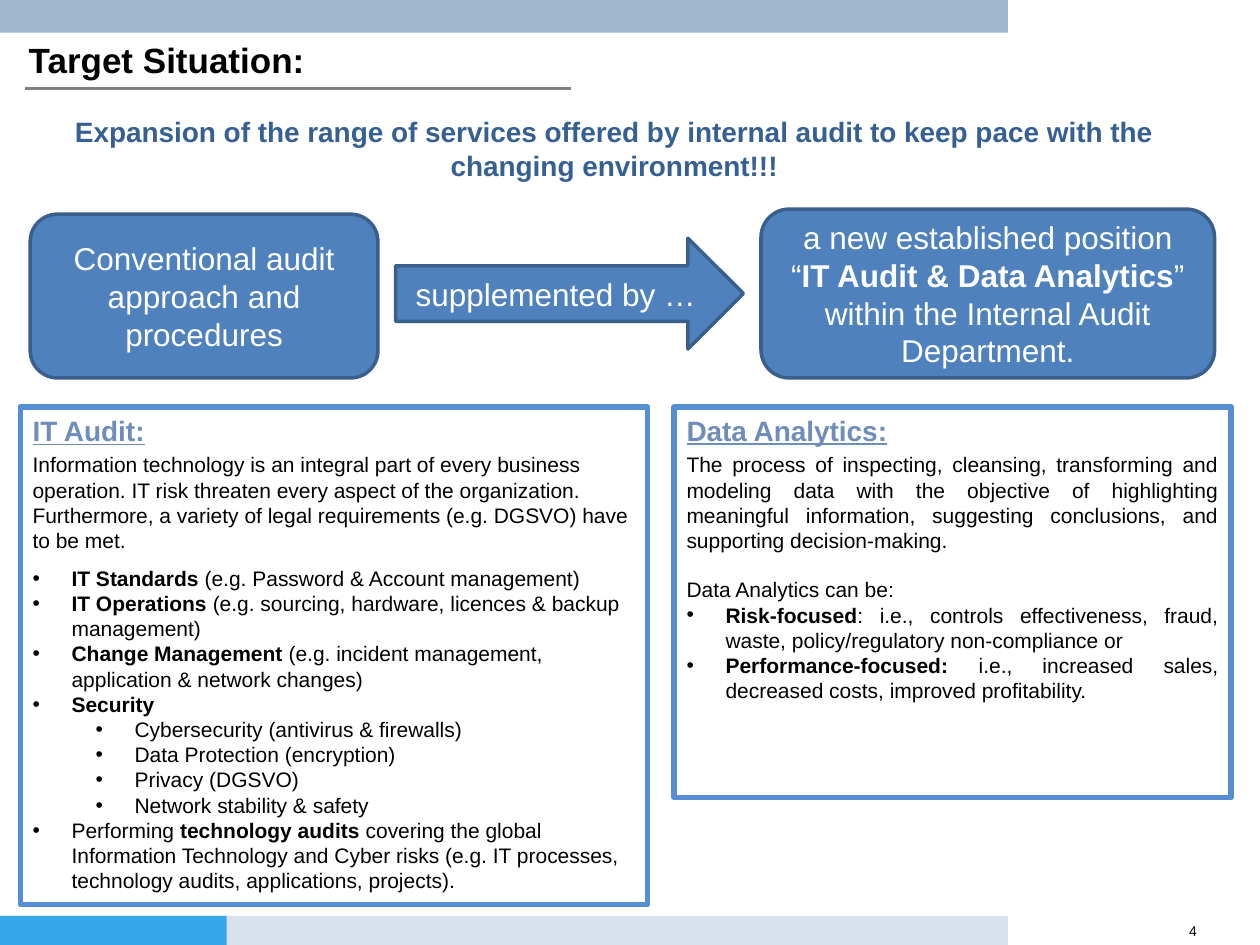
from lxml.etree import SubElement
from pptx import Presentation
from pptx.dml.color import RGBColor
from pptx.enum.shapes import MSO_CONNECTOR, MSO_SHAPE as Shape
from pptx.enum.text import MSO_ANCHOR as Anchor, PP_ALIGN as Align
from pptx.oxml.ns import qn
from pptx.util import Inches, Pt

WIDTH, HEIGHT = Inches(10), Inches(7.5)
COLUMNS, ROWS = 100, 75
BLACK, WHITE, BLUE, DARK_BLUE = "000000", "FFFFFF", "4F81BD", "3A5F8C"

AUDIT_INTRO = (
    "Information technology is an integral part of every business operation. "
    "IT risk threaten every aspect of the organization. Furthermore, a variety "
    "of legal requirements (e.g. DGSVO) have to be met."
)
AUDIT_TOPICS = [
    (1, "*IT Standards *(e.g. Password & Account management)", {"line_spacing": 1.5}),
    (1, "*IT Operations *(e.g. sourcing, hardware, licences & backup management)", {}),
    (1, "*Change Management *(e.g. incident management, application & network changes)", {}),
    (1, "*Security*", {}),
    (2, "Cybersecurity (antivirus & firewalls)", {}),
    (2, "Data Protection (encryption)", {}),
    (2, "Privacy (DGSVO)", {}),
    (2, "Network stability & safety", {}),
    (1, "Performing *technology audits *covering the global Information Technology "
        "and Cyber risks (e.g. IT processes, technology audits, applications, projects).", {}),
]
ANALYTICS_INTRO = (
    "The process of inspecting, cleansing, transforming and modeling data with "
    "the objective of highlighting meaningful information, suggesting "
    "conclusions, and supporting decision-making."
)
ANALYTICS_TOPICS = [
    (0, "Data Analytics can be:", {"before": 13.8}),
    (1, "*Risk-focused*: i.e., controls effectiveness, fraud, waste, "
        "policy/regulatory non-compliance or", {}),
    (1, "*Performance-focused: *i.e., increased sales, decreased costs, "
        "improved profitability.", {}),
]


def rgb(value):
    """Turn a hex string into a colour."""
    return RGBColor.from_string(value)


def place(box):
    """Convert a box in grid columns and rows to slide lengths."""
    left, top, width, height = box
    return (int(WIDTH * left / COLUMNS), int(HEIGHT * top / ROWS),
            int(WIDTH * width / COLUMNS), int(HEIGHT * height / ROWS))


def add_bullet(paragraph, level):
    """Give a paragraph a bullet with a hanging indent."""
    properties = paragraph._p.get_or_add_pPr()
    properties.set("marL", str(Inches(0.31 + 0.5 * (level - 1))))
    properties.set("indent", str(-Inches(0.31)))
    SubElement(properties, qn("a:buFont")).set("typeface", "Arial")
    SubElement(properties, qn("a:buChar")).set("char", "•")


def write_text(frame, text, size=12, color=BLACK, bold=False, underline=False,
               align=Align.LEFT, before=0, after=0, line_spacing=1.0, level=0):
    """Write one paragraph, in which asterisks enclose bold words."""
    paragraph = frame.paragraphs[0]
    if paragraph.runs:
        paragraph = frame.add_paragraph()
    paragraph.alignment = align
    paragraph.line_spacing = line_spacing
    paragraph.space_before, paragraph.space_after = Pt(before), Pt(after)
    if level:
        paragraph.level = level - 1
        add_bullet(paragraph, level)
    for index, part in enumerate(text.split("*")):
        if part:
            run = paragraph.add_run()
            run.text = part
            font = run.font
            font.name, font.size = "Arial", Pt(size)
            font.bold, font.underline = bold or index % 2 == 1, underline
            font.color.rgb = rgb(color)


def add_box(slide, box, kind=Shape.RECTANGLE, fill=None, line=None, weight=2,
            anchor=Anchor.MIDDLE):
    """Add a preset shape and return it."""
    shape = slide.shapes.add_shape(kind, *place(box))
    shape.shadow.inherit = False
    if fill:
        shape.fill.solid()
        shape.fill.fore_color.rgb = rgb(fill)
    else:
        shape.fill.background()
    if line:
        shape.line.color.rgb = rgb(line)
        shape.line.width = Pt(weight)
    else:
        shape.line.fill.background()
    shape.text_frame.word_wrap = True
    shape.text_frame.vertical_anchor = anchor
    return shape


def add_label(slide, box, text, margin=True, **text_format):
    """Add a text box holding one paragraph."""
    frame = slide.shapes.add_textbox(*place(box)).text_frame
    frame.word_wrap = True
    if not margin:
        frame.margin_left = frame.margin_right = 0
        frame.margin_top = frame.margin_bottom = 0
    write_text(frame, text, **text_format)


def add_bands(slide, box):
    """Add the coloured bands and the page number at the slide's edges."""
    left, top, width, height = box
    band, bottom = 2.6, top + height - 2.3
    add_box(slide, (left, bottom, 0.8 * width, 2.3), fill="D8E2EC")
    add_box(slide, (left, top, 0.8 * width, band), fill="9FB8CE")
    add_box(slide, (left, bottom, 0.18 * width, 2.3), fill="36A7E9")
    add_label(slide, (0.72 * width, bottom + 0.5, 0.23 * width, 1.8), "4",
              margin=False, size=8, align=Align.RIGHT)


def add_heading(slide, box):
    """Add the title, its rule and the message below."""
    left, top, width, height = box
    add_label(slide, (left - 0.7, top, 45, 4.4), "Target Situation:", size=20, bold=True)
    x, y, length, _ = place((left, top + 4.4, 43.3, 0))
    rule = slide.shapes.add_connector(MSO_CONNECTOR.STRAIGHT, x, y, x + length, y)
    rule.line.color.rgb = rgb("808080")
    rule.line.width = Pt(1.5)
    SubElement(rule._element.spPr, qn("a:effectLst"))
    add_label(slide, (left, top + 6, width, height - 6),
              "Expansion of the range of services offered by internal audit to keep "
              "pace with the changing environment!!!",
              size=16, color="376092", bold=True, align=Align.CENTER, before=3, after=3)


def add_flow(slide, box):
    """Add the two positions and the arrow between them."""
    left, top, width, height = box
    steps = [
        (Shape.ROUNDED_RECTANGLE, (left, top + 0.4, 27.6, height - 0.4),
         "Conventional audit approach and procedures", 3),
        (Shape.RIGHT_ARROW, (left + 29, top + 2.3, 27.6, 8.8), "supplemented by …", 0),
        (Shape.ROUNDED_RECTANGLE, (left + width - 36, top, 36, height),
         "a new established position “*IT Audit & Data Analytics*” within the "
         "Internal Audit Department.", 3),
    ]
    for kind, step_box, text, gap in steps:
        shape = add_box(slide, step_box, kind, fill=BLUE, line=DARK_BLUE)
        write_text(shape.text_frame, text, size=18, color=WHITE, align=Align.CENTER,
                   before=gap, after=gap)


def add_panel(slide, box, heading, intro, topics, align):
    """Add a framed panel with a heading, an introduction and topics."""
    frame = add_box(slide, box, line="558ED5", weight=3, anchor=Anchor.TOP).text_frame
    write_text(frame, heading, size=16, color="6F8DB9", bold=True, underline=True,
               before=3, after=3)
    write_text(frame, intro, align=align)
    for level, text, spacing in topics:
        write_text(frame, text, level=level, align=align, **spacing)


def main():
    """Build the slide and save it."""
    presentation = Presentation()
    presentation.slide_width, presentation.slide_height = WIDTH, HEIGHT
    slide = presentation.slides.add_slide(presentation.slide_layouts[6])
    add_bands(slide, (0, 0, COLUMNS, ROWS))
    add_heading(slide, (2, 2.6, 93.5, 12.4))
    add_flow(slide, (2.4, 16.6, 94, 13.4))
    add_panel(slide, (1.6, 32.3, 49.8, 39.5), "IT Audit:", AUDIT_INTRO, AUDIT_TOPICS,
              Align.LEFT)
    add_panel(slide, (53.5, 32.3, 44.2, 31), "Data Analytics:", ANALYTICS_INTRO,
              ANALYTICS_TOPICS, Align.JUSTIFY)
    presentation.save("out.pptx")


if __name__ == "__main__":
    main()
